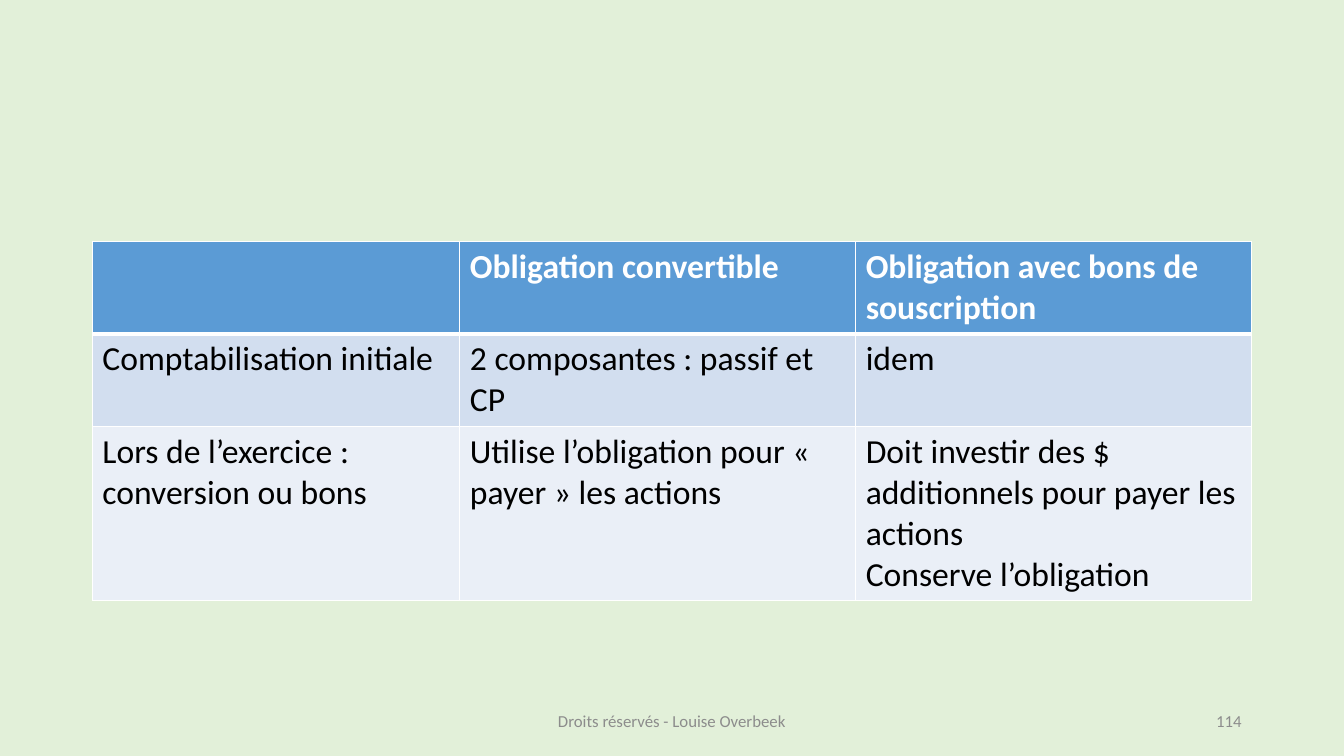
from dataclasses import dataclass

from lxml.etree import SubElement
from pptx import Presentation
from pptx.dml.color import RGBColor
from pptx.enum.text import MSO_ANCHOR, PP_ALIGN
from pptx.oxml.ns import qn
from pptx.slide import Slide
from pptx.table import _Cell as Cell
from pptx.text.text import TextFrame
from pptx.util import Emu, Pt

WHITE = RGBColor(0xFF, 0xFF, 0xFF)
BLACK = RGBColor(0x00, 0x00, 0x00)
GREY = RGBColor(0x8C, 0x8C, 0x8C)
GREEN = RGBColor(0xE2, 0xF0, 0xD9)
BLUE = RGBColor(0x5B, 0x9B, 0xD5)
PALE = RGBColor(0xD2, 0xDE, 0xEF)
LIGHT = RGBColor(0xEA, 0xEF, 0xF7)
FONT = "Calibri"


@dataclass
class Row:
    height: int
    fill: RGBColor
    texts: tuple[str, ...]
    color: RGBColor = BLACK
    bold: bool = False
    base: int = 1  # bottom border in points


@dataclass
class Label:
    text: str
    left: int
    width: int
    align: PP_ALIGN


COLS = (350, 377, 377)
ROWS = (
    Row(88, BLUE, ("", "Obligation convertible", "Obligation avec bons de souscription"),
        WHITE, True, 3),
    Row(88, PALE, ("Comptabilisation initiale", "2 composantes : passif et CP", "idem")),
    Row(166, LIGHT, (
        "Lors de l’exercice : conversion ou bons",
        "Utilise l’obligation pour « payer » les actions",
        "Doit investir des $ additionnels pour payer les actions\nConserve l’obligation")),
)
LABELS = (
    Label("114", 904, 288, PP_ALIGN.RIGHT),
    Label("Droits réservés - Louise Overbeek", 424, 432, PP_ALIGN.CENTER),
)


def px(count: int) -> Emu:
    return Emu(count * 9525)


def style(frame: TextFrame, size: int, color: RGBColor, bold: bool = False) -> None:
    for para in frame.paragraphs:
        for run in para.runs:
            font = run.font
            font.name, font.size, font.bold = FONT, Pt(size), bold
            font.color.rgb = color


def edge(cell: Cell, tag: str, width: int) -> None:
    line = SubElement(cell._tc.get_or_add_tcPr(), qn(tag), w=str(Pt(width)))
    fill = SubElement(line, qn("a:solidFill"))
    SubElement(fill, qn("a:srgbClr"), val=str(WHITE))


def draw_table(slide: Slide, left: int, top: int) -> None:
    high = sum(row.height for row in ROWS)
    table = slide.shapes.add_table(
        len(ROWS), len(COLS), px(left), px(top), px(sum(COLS)), px(high)).table
    for col, width in zip(table.columns, COLS):
        col.width = px(width)
    roof = 1
    for line, row in zip(table.rows, ROWS):
        line.height = px(row.height)
        for cell, text in zip(line.cells, row.texts):
            # Borders come before the fill in the cell's XML
            for tag, width in (("a:lnL", 1), ("a:lnR", 1), ("a:lnT", roof), ("a:lnB", row.base)):
                edge(cell, tag, width)
            cell.fill.solid()
            cell.fill.fore_color.rgb = row.fill
            cell.text_frame.text = text
            style(cell.text_frame, 24, row.color, row.bold)
        roof = row.base


def draw_label(slide: Slide, label: Label) -> None:
    box = slide.shapes.add_textbox(px(label.left), px(667), px(label.width), px(38))
    frame = box.text_frame
    frame.word_wrap = True
    frame.vertical_anchor = MSO_ANCHOR.MIDDLE
    frame.text = label.text
    frame.paragraphs[0].alignment = label.align
    style(frame, 12, GREY)


def main() -> None:
    deck = Presentation()
    deck.slide_width, deck.slide_height = px(1280), px(720)
    slide = deck.slides.add_slide(deck.slide_layouts[6])

    # Background
    back = slide.background.fill
    back.solid()
    back.fore_color.rgb = GREEN

    # Comparison of the two bonds
    draw_table(slide, 88, 230)

    # Page number and footer
    for label in LABELS:
        draw_label(slide, label)

    deck.save("out.pptx")


if __name__ == "__main__":
    main()
